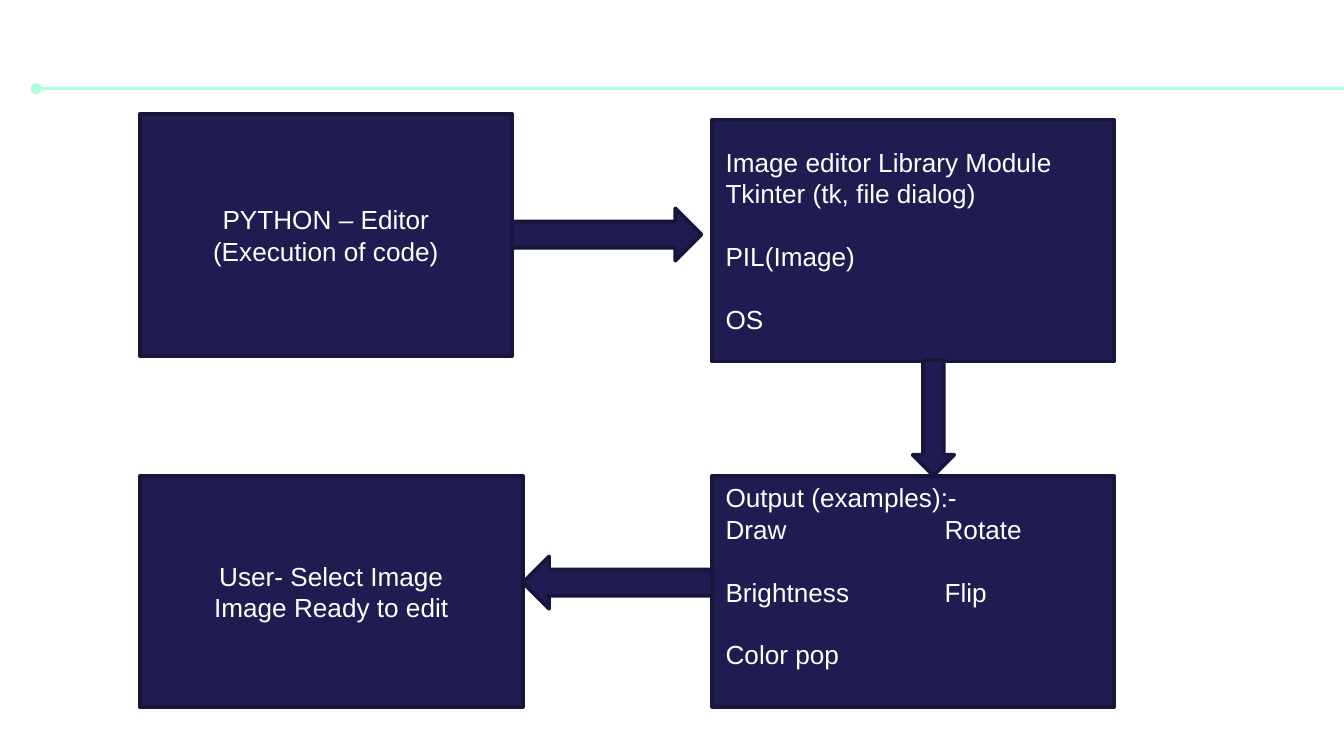
from lxml import etree
from pptx import Presentation
from pptx.dml.color import RGBColor
from pptx.enum.shapes import MSO_CONNECTOR, MSO_SHAPE
from pptx.enum.text import MSO_ANCHOR, PP_ALIGN
from pptx.oxml.ns import qn
from pptx.util import Inches, Pt

RECTANGLE = MSO_SHAPE.RECTANGLE
RIGHT_ARROW = MSO_SHAPE.RIGHT_ARROW
DOWN_ARROW = MSO_SHAPE.DOWN_ARROW
STRAIGHT = MSO_CONNECTOR.STRAIGHT
MIDDLE = MSO_ANCHOR.MIDDLE
LEFT, CENTER = PP_ALIGN.LEFT, PP_ALIGN.CENTER

COLORS = {"navy": "1F1C51", "outline": "17153C", "mint": "ACFFD9", "text": "FFFFFF"}
FONT = "Arial"
FONT_SIZE = 14
BLANK_LINE = 16.8
SECOND_COLUMN = 1.63


def color(name):
    return RGBColor.from_string(COLORS[name])


class FlowSlide:
    """Holds the flow chart's style and the slide it is drawn on."""

    def __init__(self, presentation):
        self.slide = presentation.slides.add_slide(presentation.slide_layouts[6])

    def rule(self, left, right, top):
        """Draw a horizontal line that starts with a dot."""
        line = self.slide.shapes.add_connector(
            STRAIGHT, Inches(left), Inches(top), Inches(right), Inches(top))
        line.line.color.rgb = color("mint")
        line.line.width = Pt(1.5)
        etree.SubElement(line.line._get_or_add_ln(), qn("a:headEnd"), type="oval")
        etree.SubElement(line._element.spPr, qn("a:effectLst"))

    def block(self, kind, left, top, width, height, rotation=0):
        shape = self.slide.shapes.add_shape(
            kind, Inches(left), Inches(top), Inches(width), Inches(height))
        shape.rotation = rotation
        shape.shadow.inherit = False
        shape.fill.solid()
        shape.fill.fore_color.rgb = color("navy")
        shape.line.color.rgb = color("outline")
        shape.line.width = Pt(2)
        return shape

    def box(self, bounds, lines, alignment=CENTER, spaced_from=None, bottom_inset=0.05):
        """Draw a text box; lines from index spaced_from on get a gap above."""
        frame = self.block(RECTANGLE, *bounds).text_frame
        frame.word_wrap = True
        frame.vertical_anchor = MIDDLE
        frame.margin_bottom = Inches(bottom_inset)
        frame.text = "\n".join(lines)
        for index, paragraph in enumerate(frame.paragraphs):
            paragraph.alignment = alignment
            if spaced_from is not None and index >= spaced_from:
                paragraph.space_before = Pt(BLANK_LINE)
            if "\t" in lines[index]:
                self.tab_stop(paragraph)
            for run in paragraph.runs:
                run.font.name = FONT
                run.font.size = Pt(FONT_SIZE)
                run.font.color.rgb = color("text")

    def tab_stop(self, paragraph):
        tabs = etree.SubElement(paragraph._p.get_or_add_pPr(), qn("a:tabLst"))
        etree.SubElement(tabs, qn("a:tab"), pos=str(Inches(SECOND_COLUMN)), algn="l")


def main():
    presentation = Presentation()
    presentation.slide_width = Inches(10)
    presentation.slide_height = presentation.slide_width * 9 // 16
    flow = FlowSlide(presentation)

    flow.rule(0.27, 10, 0.66)
    flow.box((1.04, 0.85, 2.77, 1.8), ["PYTHON – Editor", "(Execution of code)"])
    flow.box((5.3, 0.89, 2.99, 1.8),
             ["Image editor Library Module", "Tkinter (tk, file dialog)", "PIL(Image)", "OS"],
             LEFT, spaced_from=2)
    flow.box((5.3, 3.54, 2.99, 1.72),
             ["Output (examples):-", "Draw\tRotate", "Brightness\tFlip", "Color pop"],
             LEFT, spaced_from=2, bottom_inset=0.28)
    flow.box((1.04, 3.54, 2.85, 1.72), ["User- Select Image", "Image Ready to edit"])

    flow.block(RIGHT_ARROW, 3.81, 1.55, 1.41, 0.39)
    flow.block(RIGHT_ARROW, 3.89, 4.14, 1.41, 0.39, rotation=180)
    flow.block(DOWN_ARROW, 6.79, 2.68, 0.31, 0.86)

    presentation.save("out.pptx")


if __name__ == "__main__":
    main()
